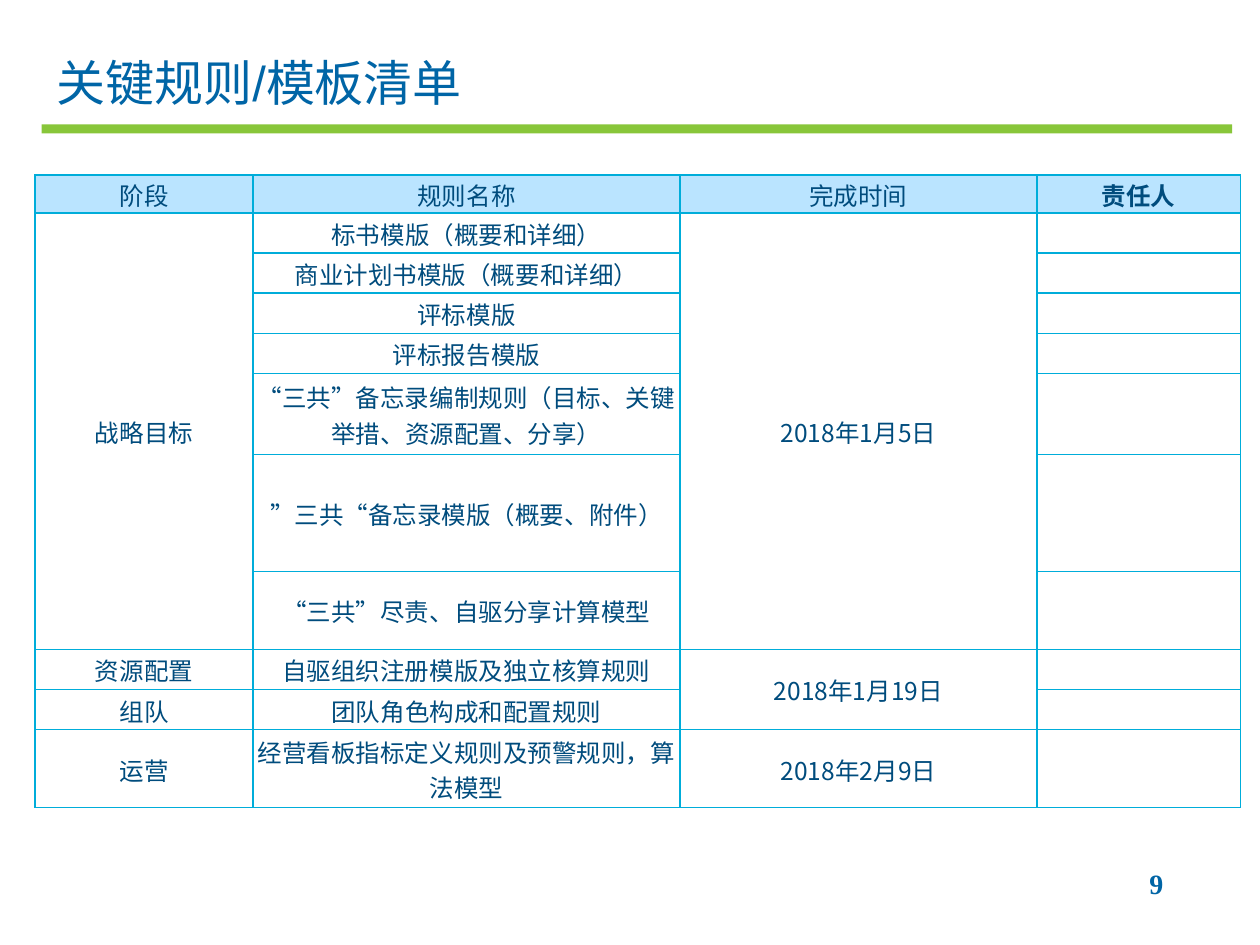
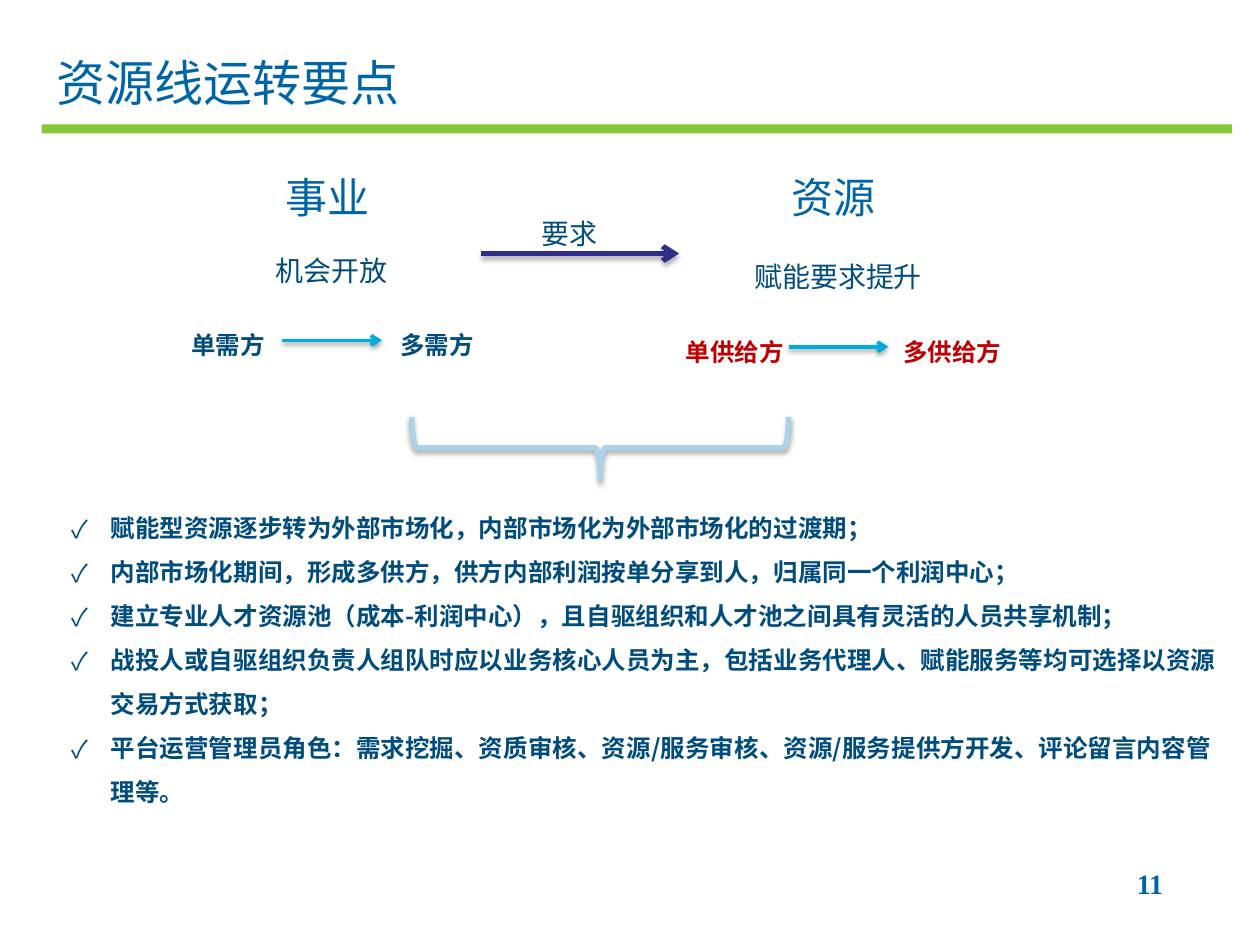
"""Build two slides: a list of key rules and the key points of running the resource line."""
from lxml import etree
from pptx import Presentation
from pptx import util as u
from pptx.dml.color import RGBColor
from pptx.enum import shapes, text
from pptx.oxml import ns

COLORS = {
    "title": "0065A6", "body": "004C7D", "band": "88C63A", "grid": "00ADDA",
    "header": "BAE4FF", "red": "C00000", "navy": "2D2D8A", "brace": "AAD3EA",
    "shadow": "000000",
}
SANS, SERIF, TITLE_FONT = "Noto Sans CJK SC", "Times New Roman", "Arial"
LEFT, CENTER, RIGHT = text.PP_ALIGN.LEFT, text.PP_ALIGN.CENTER, text.PP_ALIGN.RIGHT

HEADERS = ["阶段", "规则名称", "完成时间", "责任人"]
RULES = [
    ("战略目标", "标书模版（概要和详细）", "2018年1月5日", 0.81),
    ("", "商业计划书模版（概要和详细）", "", 0.81),
    ("", "评标模版", "", 0.81),
    ("", "评标报告模版", "", 0.81),
    ("", "“三共”备忘录编制规则（目标、关键举措、资源配置、分享）", "", 1.63),
    ("", "”三共“备忘录模版（概要、附件）", "", 2.36),
    ("", "“三共”尽责、自驱分享计算模型", "", 1.57),
    ("资源配置", "自驱组织注册模版及独立核算规则", "2018年1月19日", 0.81),
    ("组队", "团队角色构成和配置规则", "", 0.81),
    ("运营", "经营看板指标定义规则及预警规则，算法模型", "2018年2月9日", 1.57),
]
MERGES = [(1, 0, 7, 0), (1, 2, 7, 2), (8, 2, 9, 2)]
SIDES = [
    ("事业", "机会开放", "单需方", "多需方", "body", 0, 0, 7.11),
    ("资源", "赋能要求提升", "单供给方", "多供给方", "red", 10.21, 0.13, 17.5),
]
POINTS = [
    "赋能型资源逐步转为外部市场化，内部市场化为外部市场化的过渡期；",
    "内部市场化期间，形成多供方，供方内部利润按单分享到人，归属同一个利润中心；",
    "建立专业人才资源池（成本-利润中心），且自驱组织和人才池之间具有灵活的人员共享机制；",
    "战投人或自驱组织负责人组队时应以业务核心人员为主，包括业务代理人、赋能服务等均可选择以资源交易方式获取；",
    "平台运营管理员角色：需求挖掘、资质审核、资源/服务审核、资源/服务提供方开发、评论留言内容管理等。",
]


def rgb(name):
    return RGBColor.from_string(COLORS[name])


def add_xml(parent, tag, **attrs):
    return etree.SubElement(parent, ns.qn(tag), attrs)


def write(tf, content, size=14, font=SANS, color="body", bold=False, align=CENTER,
          spacing=None, bullet=None):
    for i, line in enumerate(content.split("\n")):
        p = tf.paragraphs[0] if i == 0 else tf.add_paragraph()
        p.alignment = align
        p.space_before = u.Pt(0)
        if spacing:
            p.line_spacing = u.Pt(spacing)
        if bullet:
            pPr = p._p.get_or_add_pPr()
            pPr.set("marL", str(u.Cm(0.79)))
            pPr.set("indent", str(-u.Cm(0.79)))
            add_xml(pPr, "a:buFont", typeface=SANS)
            add_xml(pPr, "a:buChar", char=bullet)
        r = p.add_run()
        r.text = line
        r.font.size, r.font.bold, r.font.name = u.Pt(size), bold, font
        r.font.color.rgb = rgb(color)
        add_xml(r._r.get_or_add_rPr(), "a:ea", typeface=SANS)


class Deck:
    def __init__(self):
        self.prs = Presentation()
        self.prs.slide_width, self.prs.slide_height = u.Cm(25.4), u.Cm(19.05)
        self.s = None

    def place(self, sp, x, y, w, h):
        sp.left, sp.top, sp.width, sp.height = map(u.Cm, (x, y, w, h))

    def slide(self, title, number, layout):
        self.s = self.prs.slides.add_slide(self.prs.slide_layouts[layout])
        band = self.s.shapes.add_shape(shapes.MSO_SHAPE.RECTANGLE, u.Cm(0.84), u.Cm(2.51),
                                       u.Cm(24), u.Cm(0.18))
        band.fill.solid()
        band.fill.fore_color.rgb = rgb("band")
        band.line.fill.background()
        band.shadow.inherit = False
        sp = self.s.shapes.title
        self.place(sp, 0.89, 0.97, 23.8, 1.35)
        tf = sp.text_frame
        tf.auto_size = text.MSO_AUTO_SIZE.NONE
        tf.vertical_anchor = text.MSO_ANCHOR.MIDDLE
        write(tf, title, size=28, font=TITLE_FONT, color="title", align=LEFT)
        self.label(number, 17.78, 17.35, 5.92, 1.32, size=16, font=SERIF, color="title",
                   bold=True, align=RIGHT)

    def label(self, content, x, y, w, h, **style):
        sp = self.s.shapes.add_textbox(*map(u.Cm, (x, y, w, h)))
        sp.text_frame.word_wrap = True
        write(sp.text_frame, content, **style)

    def bullets(self, items, x, y, w, h):
        sp = self.s.placeholders[1]
        self.place(sp, x, y, w, h)
        sp.text_frame.auto_size = text.MSO_AUTO_SIZE.NONE
        write(sp.text_frame, "\n".join(items), bold=True, align=LEFT, spacing=25.2, bullet="✓")

    def shadow(self, sp, alpha, dist):
        effects = add_xml(sp._element.spPr, "a:effectLst")
        outer = add_xml(effects, "a:outerShdw", blurRad=str(u.Pt(3.1)), dist=str(u.Pt(dist)),
                        dir="5400000", rotWithShape="0")
        add_xml(add_xml(outer, "a:srgbClr", val=COLORS["shadow"]), "a:alpha",
                val=str(alpha * 1000))

    def arrow(self, x1, x2, y, color="grid", width=2, alpha=38, dist=1.6):
        sp = self.s.shapes.add_connector(shapes.MSO_CONNECTOR.STRAIGHT,
                                         *map(u.Cm, (x1, y, x2, y)))
        sp.line.color.rgb = rgb(color)
        sp.line.width = u.Pt(width)
        add_xml(sp.line._get_or_add_ln(), "a:tailEnd", type="arrow")
        self.shadow(sp, alpha, dist)

    def brace(self, x, y, w, h):
        sp = self.s.shapes.add_shape(shapes.MSO_SHAPE.RIGHT_BRACE, *map(u.Cm, (x, y, w, h)))
        sp.rotation = 90
        sp.fill.background()
        sp.line.color.rgb = rgb("brace")
        sp.line.width = u.Pt(3)
        self.shadow(sp, 35, 1.8)

    def cell(self, cell, content, header, bold):
        cell.margin_left = cell.margin_right = cell.margin_top = u.Cm(0.03)
        cell.margin_bottom = 0
        cell.vertical_anchor = text.MSO_ANCHOR.MIDDLE
        if header:
            cell.fill.solid()
            cell.fill.fore_color.rgb = rgb("header")
        else:
            cell.fill.background()
        tcPr = cell._tc.get_or_add_tcPr()
        for i, side in enumerate("LRTB"):
            ln = add_xml(tcPr, f"a:ln{side}", w=str(u.Pt(1)))
            add_xml(add_xml(ln, "a:solidFill"), "a:srgbClr", val=COLORS["grid"])
            tcPr.insert(i, ln)
        if content:
            write(cell.text_frame, content, bold=bold)

    def table(self, rows, heights, widths, x, y, merges):
        sp = self.s.shapes.add_table(len(rows), len(widths),
                                     *map(u.Cm, (x, y, sum(widths), sum(heights))))
        table = sp.table
        table.first_row = table.horz_banding = False
        for column, width in zip(table.columns, widths):
            column.width = u.Cm(width)
        for r, (row, height) in enumerate(zip(rows, heights)):
            table.rows[r].height = u.Cm(height)
            for c, content in enumerate(row):
                self.cell(table.cell(r, c), content, r == 0, r == 0 and c == 3)
        for top, left, bottom, right in merges:
            table.cell(top, left).merge(table.cell(bottom, right))


def rules_slide(deck):
    deck.slide("关键规则/模板清单", "9", layout=5)
    rows = [HEADERS] + [(*rule[:3], "") for rule in RULES]
    heights = [0.76] + [rule[3] for rule in RULES]
    deck.table(rows, heights, [4.39, 8.61, 7.19, 4.11], 0.71, 3.53, MERGES)


def resource_slide(deck):
    deck.slide("资源线运转要点", "11", layout=1)
    for heading, aim, single, many, color, dx, dy, many_x in SIDES:
        party = dict(color=color, bold=True, spacing=23)
        deck.label(heading, 4.9 + dx, 3.34, 3.4, 1.8, size=24, font=SERIF, color="title")
        deck.label(aim, 2.69 + dx, 4.85 + dy, 8, 1.05, size=16, spacing=23)
        deck.label(single, 2.9 + dx, 6.32 + dy, 3.4, 1, **party)
        deck.label(many, many_x, 6.32 + dy, 3.4, 1, **party)
        deck.arrow(5.69 + dx, 7.7 + dx, 6.86 + dy)
    deck.arrow(9.7, 13.69, 5.11, color="navy", width=3, alpha=35, dist=1.8)
    deck.label("要求", 7.49, 4.11, 8, 1.02, size=16, spacing=23)
    deck.brace(11.48, 5.23, 1.24, 7.59)
    deck.bullets(POINTS, 1.19, 9.91, 23.8, 6.53)


def main():
    deck = Deck()
    rules_slide(deck)
    resource_slide(deck)
    deck.prs.save("out.pptx")


if __name__ == "__main__":
    main()
